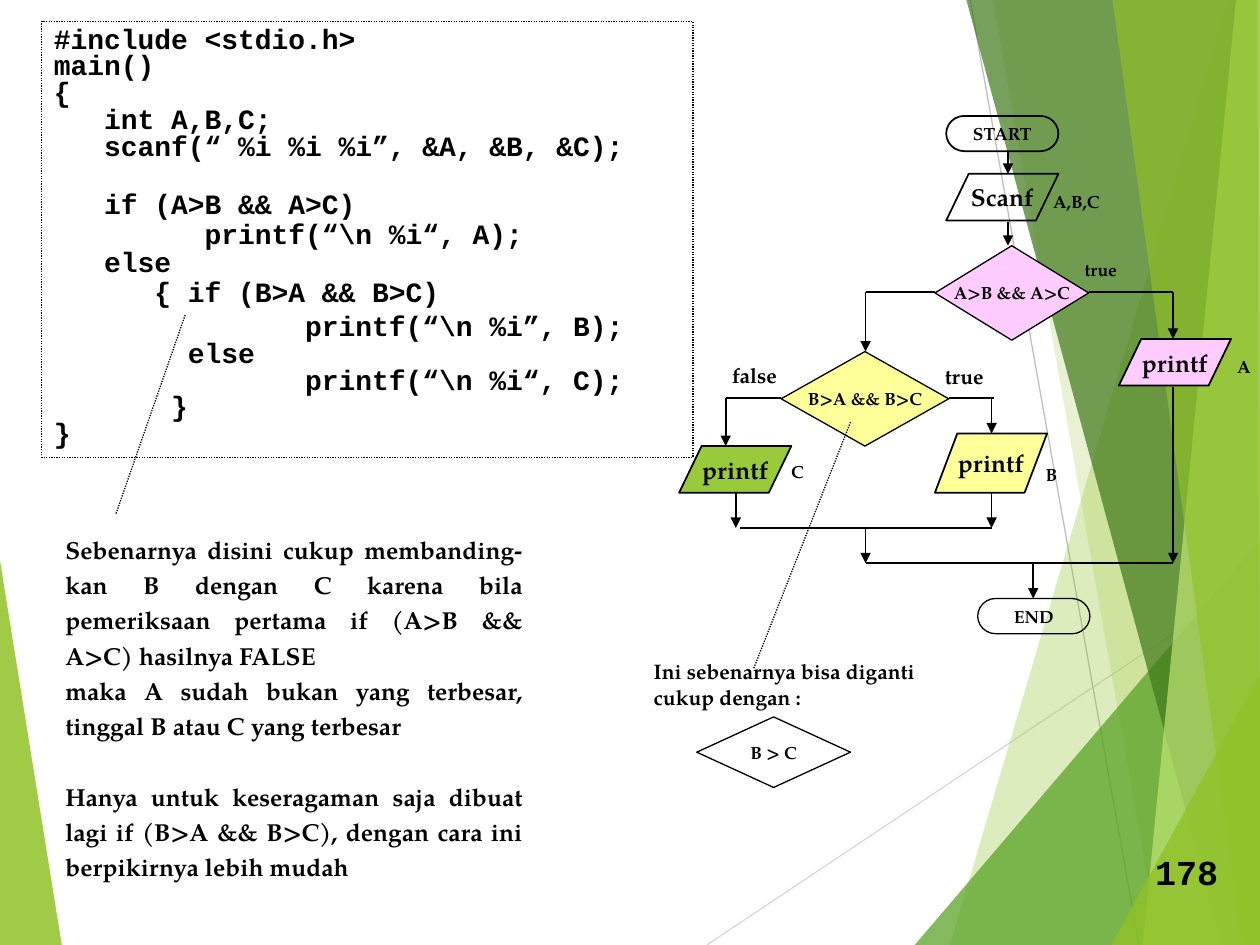
from dataclasses import dataclass

from lxml import etree
from pptx import Presentation
from pptx import util as u
from pptx.dml import color
from pptx.enum import dml, shapes, text
from pptx.oxml import ns


@dataclass(frozen=True)
class Theme:
    black: str = "000000"
    green: str = "90C226"
    mid_green: str = "54A021"
    dark_green: str = "3F7819"
    pale_green: str = "C0E474"
    light_gray: str = "D9D9D9"
    gray: str = "BFBFBF"
    pink: str = "FFCCFF"
    yellow: str = "FFFF99"
    leaf: str = "99CA3C"
    code_font: str = "Courier New"
    body_font: str = "TeX Gyre Pagella"
    small: int = 10
    label: int = 12
    body: int = 14
    code: int = 16
    number: int = 20
    thin: float = 0.75
    flow: float = 1


THEME = Theme()
SHAPE = shapes.MSO_SHAPE
ALIGN = text.PP_ALIGN

# Background facets: colour, opacity in percent, corners
FACETS = [
    (THEME.green, 85, [(0, 4.45), (0.49, 7.5), (0, 7.5)]),
    (THEME.green, 30, [(9.75, 0), (7.54, 7.5), (10, 7.5), (10, 0)]),
    (THEME.green, 20, [(7.88, 0), (9.2, 7.5), (10, 7.5), (10, 0)]),
    (THEME.mid_green, 72, [(7.26, 7.5), (10, 4.29), (10, 7.5)]),
    (THEME.dark_green, 70, [(7.67, 0), (9.7, 7.5), (10, 7.5), (10, 0)]),
    (THEME.pale_green, 70, [(9.81, 0), (9.07, 7.5), (10, 7.5), (10, 0)]),
    (THEME.green, 65, [(8.83, 0), (9.86, 7.5), (10, 7.5), (9.98, 0)]),
    (THEME.green, 80, [(8.82, 7.5), (10, 5.35), (10, 7.5)]),
]

# Program: line, line spacing, space before in points
CODE = [
    ("#include <stdio.h>", 0.8, 0),
    ("main()", 0.8, 0),
    ("{", 0.8, 0),
    ("   int A,B,C;", 0.8, 0),
    ("   scanf(“ %i %i %i”, &A, &B, &C);", 0.8, 0),
    ("   if (A>B && A>C)", 0.9, 16.3),
    ("         printf(“\\n %i“, A);", 0.9, 0),
    ("   else", 0.8, 0),
    ("      { if (B>A && B>C)", 0.9, 0),
    ("               printf(“\\n %i”, B);", 1, 0),
    ("        else", 0.8, 0),
    ("               printf(“\\n %i“, C);", 0.8, 0),
    ("       }", 0.8, 0),
    ("}", 0.8, 0),
]

EXPLANATION = [
    ("Sebenarnya disini cukup membanding-kan B dengan C karena bila "
     "pemeriksaan pertama if (A>B && A>C) hasilnya FALSE", 1.2, 0),
    ("maka A sudah bukan yang terbesar, tinggal B atau C yang terbesar", 1.2, 0),
    ("Hanya untuk keseragaman saja dibuat lagi if (B>A && B>C), "
     "dengan cara ini berpikirnya lebih mudah", 1.2, 20.2),
]

# Flowchart nodes: preset, box, words, size, fill, outline
NODES = [
    (SHAPE.FLOWCHART_TERMINATOR, (7.51, 0.92, 0.89, 0.28), "START", THEME.small, None, THEME.flow),
    (SHAPE.FLOWCHART_DATA, (7.51, 1.38, 0.89, 0.37), "Scanf", THEME.body, None, THEME.flow),
    (SHAPE.FLOWCHART_DATA, (8.88, 2.69, 0.89, 0.37), "printf", THEME.body, THEME.pink, THEME.flow),
    (SHAPE.FLOWCHART_DATA, (7.42, 3.44, 0.89, 0.47), "printf", THEME.body, THEME.yellow, THEME.flow),
    (SHAPE.FLOWCHART_DATA, (5.39, 3.54, 0.89, 0.37), "printf", THEME.body, THEME.leaf, THEME.flow),
    (SHAPE.FLOWCHART_TERMINATOR, (7.76, 4.75, 0.89, 0.28), "END", THEME.small, None, THEME.thin),
    (SHAPE.FLOWCHART_DECISION, (7.42, 1.95, 1.22, 0.75), "A>B && A>C", THEME.small, THEME.pink, THEME.thin),
    (SHAPE.FLOWCHART_DECISION, (6.2, 2.79, 1.33, 0.75), "B>A && B>C", THEME.small, THEME.yellow, THEME.thin),
    (SHAPE.FLOWCHART_DECISION, (5.53, 5.69, 1.22, 0.56), "B > C", THEME.small, None, THEME.thin),
]

# Horizontal branches: y, from x, to x
BRANCHES = [
    (2.32, 7.42, 6.87), (2.32, 8.64, 9.31),
    (3.16, 6.2, 5.76), (3.16, 7.53, 7.89),
    (4.19, 5.87, 7.87), (4.47, 6.87, 9.31),
]

# Downward arrows: x, from y, to y
ARROWS = [
    (8, 1.2, 1.38), (8, 1.76, 1.95),
    (6.87, 2.32, 2.79), (9.31, 2.32, 2.69),
    (5.76, 3.16, 3.54), (7.87, 3.16, 3.44),
    (5.84, 3.91, 4.19), (7.87, 3.91, 4.19),
    (6.87, 4.19, 4.47), (9.31, 3.07, 4.47), (8.2, 4.47, 4.75),
]

LABELS = [
    ("A,B,C", (8.26, 1.47, 0.57, 0.27), THEME.small),
    ("true", (8.51, 2.01, 0.5, 0.27), THEME.small),
    ("true", (7.4, 2.84, 0.56, 0.3), THEME.label),
    ("false", (5.71, 2.83, 0.6, 0.3), THEME.label),
    ("A", (9.72, 2.78, 0.3, 0.27), THEME.small),
    ("B", (8.2, 3.63, 0.36, 0.27), THEME.small),
    ("C", (6.18, 3.61, 0.29, 0.27), THEME.small),
]


def inches(values):
    return [u.Inches(value) for value in values]


def rgb(value):
    return color.RGBColor.from_string(value)


def write(shape, lines, size, font=THEME.body_font, align=ALIGN.LEFT,
          wrap=False, anchor=text.MSO_ANCHOR.TOP):
    """Fill a shape with (words, line spacing, space before) lines."""
    frame = shape.text_frame
    frame.word_wrap = wrap
    frame.vertical_anchor = anchor
    for index, (words, spacing, before) in enumerate(lines):
        paragraph = frame.add_paragraph() if index else frame.paragraphs[0]
        paragraph.text = words
        paragraph.alignment = align
        paragraph.line_spacing = spacing
        if before:
            paragraph.space_before = u.Pt(before)
        paragraph.font.name = font
        paragraph.font.size = u.Pt(size)
        paragraph.font.bold = True
        paragraph.font.color.rgb = rgb(THEME.black)


def add_text(slide, box, lines, size, **options):
    write(slide.shapes.add_textbox(*inches(box)), lines, size, **options)


def add_outlined(slide, preset, box, fill, width):
    shape = slide.shapes.add_shape(preset, *inches(box))
    shape.shadow.inherit = False
    if fill:
        shape.fill.solid()
        shape.fill.fore_color.rgb = rgb(fill)
    else:
        shape.fill.background()
    shape.line.color.rgb = rgb(THEME.black)
    shape.line.width = u.Pt(width)
    return shape


def add_node(slide, preset, box, words, size, fill, width):
    shape = add_outlined(slide, preset, box, fill, width)
    write(shape, [(words, 1, 0)], size, align=ALIGN.CENTER,
          anchor=text.MSO_ANCHOR.MIDDLE)


def add_line(slide, start, end, line_color=THEME.black, width=THEME.thin,
             dotted=False, arrow=False):
    line = slide.shapes.add_connector(
        shapes.MSO_CONNECTOR.STRAIGHT, *inches(start + end))
    line.line.color.rgb = rgb(line_color)
    line.line.width = u.Pt(width)
    if dotted:
        line.line.dash_style = dml.MSO_LINE.ROUND_DOT
    properties = line._element.spPr
    if arrow:
        etree.SubElement(properties.find(ns.qn("a:ln")), ns.qn("a:tailEnd"), type="triangle")
    etree.SubElement(properties, ns.qn("a:effectLst"))


def add_facet(slide, fill, opacity, corners):
    first, *others = [inches(corner) for corner in corners]
    builder = slide.shapes.build_freeform(*first)
    builder.add_line_segments(others, close=True)
    facet = builder.convert_to_shape()
    facet.shadow.inherit = False
    facet.line.fill.background()
    facet.fill.solid()
    facet.fill.fore_color.rgb = rgb(fill)
    tint = facet._element.spPr.find(".//" + ns.qn("a:srgbClr"))
    etree.SubElement(tint, ns.qn("a:alpha"), val=str(opacity * 1000))


def main():
    presentation = Presentation()
    presentation.slide_width, presentation.slide_height = inches((10, 7.5))
    slide = presentation.slides.add_slide(presentation.slide_layouts[6])

    # Background
    add_facet(slide, *FACETS[0])
    add_line(slide, (5.61, 7.5), (10, 4.57), THEME.light_gray)
    add_line(slide, (7.7, 0), (9.04, 7.5), THEME.gray)
    for facet in FACETS[1:]:
        add_facet(slide, *facet)

    # Program and explanation
    code_box = add_outlined(slide, SHAPE.RECTANGLE, (0.33, 0.17, 5.17, 3.46), None, THEME.thin)
    code_box.line.dash_style = dml.MSO_LINE.ROUND_DOT
    write(code_box, CODE, THEME.code, font=THEME.code_font, wrap=True)
    add_text(slide, (0.42, 4.15, 3.83, 2.9), EXPLANATION, THEME.body,
             align=ALIGN.JUSTIFY, wrap=True)

    # Flowchart
    for y, start, end in BRANCHES:
        add_line(slide, (start, y), (end, y), width=THEME.flow)
    for x, start, end in ARROWS:
        add_line(slide, (x, start), (x, end), width=THEME.flow, arrow=True)
    for node in NODES:
        add_node(slide, *node)
    for words, box, size in LABELS:
        add_text(slide, box, [(words, 1, 0)], size)

    # Pointers, side note and page number
    add_line(slide, (1.47, 2.5), (0.92, 4.08), dotted=True)
    add_line(slide, (6.75, 3.35), (5.98, 5.31), dotted=True)
    add_text(slide, (5.09, 5.18, 2.5, 0.5),
             [("Ini sebenarnya bisa diganti", 1, 0), ("cukup dengan :", 1, 0)],
             THEME.label, wrap=True)
    add_text(slide, (9.07, 6.7, 0.7, 0.44), [("178", 1, 0)], THEME.number,
             font=THEME.code_font)

    presentation.save("out.pptx")


if __name__ == "__main__":
    main()
